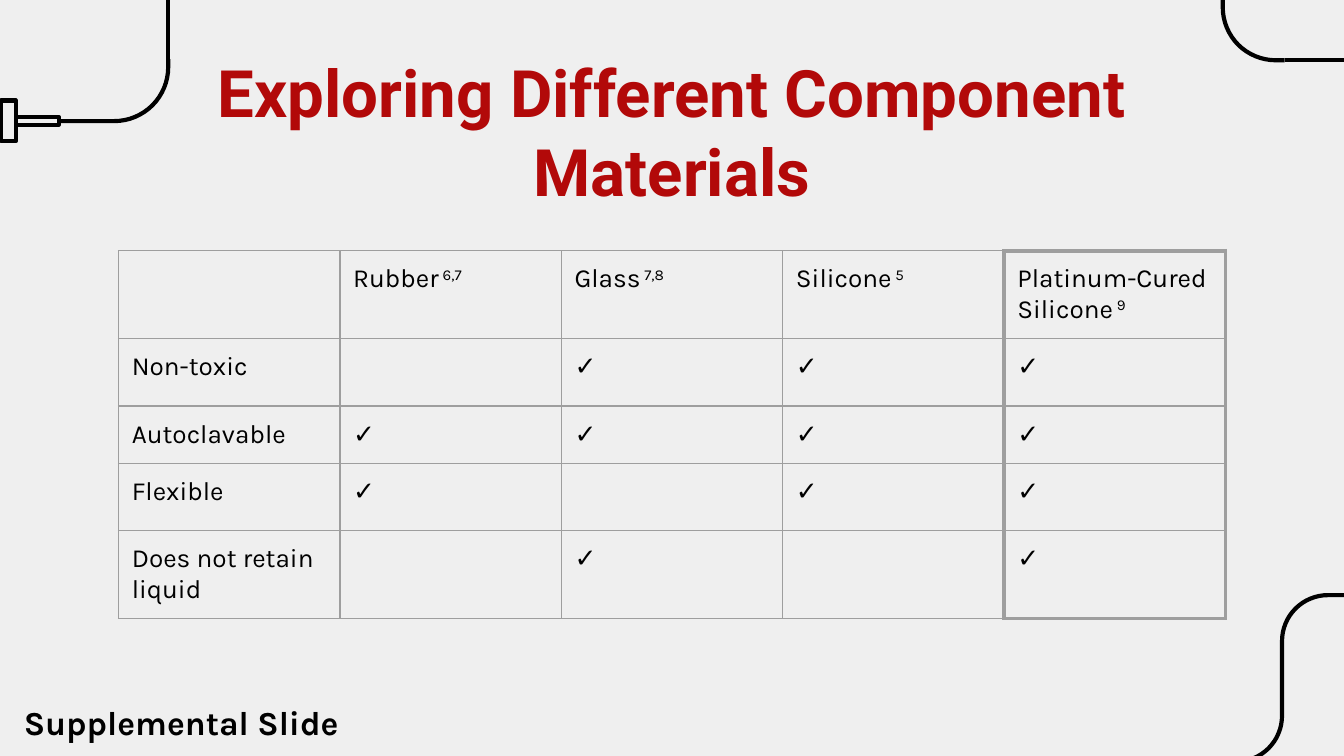
import math
import pptx
import pptx.util
import pptx.dml.color
import pptx.enum.shapes
import pptx.enum.text
import pptx.oxml
import pptx.oxml.ns
from pptx.util import Cm, Pt

HUES = {"back": "EFEFEF", "ink": "000000", "title": "B20909", "grid": "9E9E9E"}
THIN, BOLD = 0.75, 2.25
TICK = "✓"
HEAD = [("", ""), ("Rubber", " 6,7"), ("Glass", " 7,8"), ("Silicone", " 5"),
        ("Platinum-Cured Silicone", " 9")]
TRAITS = [("Non-toxic", (2, 3, 4)), ("Autoclavable", (1, 2, 3, 4)),
          ("Flexible", (1, 3, 4)), ("Does not retain liquid", (2, 4))]
ROWS = [1.66, 1.23, 1.08, 1.21, 1.66]


def hue(name):
    return pptx.dml.color.RGBColor.from_string(HUES[name])


def style(font, face, size, color, bold=False):
    font.name, font.size, font.bold = face, Pt(size), bold
    font.color.rgb = hue(color)


def pad(frame):
    frame.word_wrap = True
    frame.margin_left = frame.margin_right = Cm(0.25)
    frame.margin_top = frame.margin_bottom = Cm(0.25)


def ink(shape):
    shape.line.color.rgb = hue("ink")
    shape.line.width = Pt(BOLD)


def clear(shape):
    ink(shape)
    shape.fill.background()
    shape.shadow.inherit = False


def bend(slide, left, top, points, radius):
    """Draw an open path with a quarter turn at each inner point."""
    path = [points[0]]
    for prev, turn, after in zip(points, points[1:], points[2:]):
        ins, outs = [[(q - p) / math.dist(turn, end) * radius
                      for p, q in zip(turn, end)] for end in (prev, after)]
        for step in range(17):
            angle = math.pi / 2 * step / 16
            a, b = 1 - math.sin(angle), 1 - math.cos(angle)
            path.append((turn[0] + a * ins[0] + b * outs[0],
                         turn[1] + a * ins[1] + b * outs[1]))
    path.append(points[-1])
    spots = [(Cm(left + x), Cm(top + y)) for x, y in path]
    form = slide.shapes.build_freeform(*spots[0])
    form.add_line_segments(spots[1:], close=False)
    clear(form.convert_to_shape())


def line(slide, x1, y1, x2, y2):
    link = slide.shapes.add_connector(
        pptx.enum.shapes.MSO_CONNECTOR.STRAIGHT, Cm(x1), Cm(y1), Cm(x2), Cm(y2))
    ink(link)
    pptx.oxml.ns.qn("a:effectLst")
    link._element.spPr.append(pptx.oxml.parse_xml(
        f'<a:effectLst {pptx.oxml.ns.nsdecls("a")}/>'))


def hose(slide, left, top):
    """Draw the hose with its nozzle; the box ends at the hose's outer edge."""
    for x, y, wide, high in [(0.02, 1.9, 0.28, 0.77), (0.3, 2.21, 0.81, 0.15)]:
        clear(slide.shapes.add_shape(
            pptx.enum.shapes.MSO_SHAPE.RECTANGLE,
            Cm(left + x), Cm(top + y), Cm(wide), Cm(high)))
    bend(slide, left, top, [(1.12, 2.29), (3.18, 2.29), (3.18, 1.12)], 1.02)
    line(slide, left + 3.18, top + 1.12, left + 3.18, top)


def curve(slide, left, top):
    bend(slide, left, top, [(0, 0), (0, 1.14), (1.17, 1.14)], 1)
    line(slide, left + 1.17, top + 1.14, left + 2.29, top + 1.14)


def wave(slide, left, top):
    bend(slide, left, top, [(0, 3.15), (0.89, 3.15), (0.89, 0), (2.06, 0)], 0.87)


def title(slide, left, top, wide, high):
    box = slide.shapes.title
    box.left, box.top, box.width, box.height = map(Cm, (left, top, wide, high))
    frame = box.text_frame
    pad(frame)
    frame.auto_size = pptx.enum.text.MSO_AUTO_SIZE.NONE
    frame.vertical_anchor = pptx.enum.text.MSO_ANCHOR.TOP
    frame.text = "Exploring Different Component Materials"
    para = frame.paragraphs[0]
    para.alignment = pptx.enum.text.PP_ALIGN.CENTER
    style(para.font, "Roboto", 35, "title", True)


def edge(cell, widths):
    """Set the left, right, top and bottom borders, in points."""
    props = cell._tc.get_or_add_tcPr()
    for spot, (side, width) in enumerate(zip("LRTB", widths)):
        props.insert(spot, pptx.oxml.parse_xml(
            f'<a:ln{side} {pptx.oxml.ns.nsdecls("a")} w="{Pt(width)}"><a:solidFill>'
            f'<a:srgbClr val="{HUES["grid"]}"/></a:solidFill></a:ln{side}>'))


def write(cell, text, note):
    pad(cell)
    para = cell.text_frame.paragraphs[0]
    if text:
        para.add_run().text = text
        style(para.font, "Karla", 14, "ink")
    if note:
        run = para.add_run()
        run.text = note
        run._r.get_or_add_rPr().set("baseline", "30000")


def grid(slide, left, top, wide):
    rows = [HEAD] + [[(name, "")] + [(TICK if col in ticks else "", "")
                                     for col in range(1, len(HEAD))]
                     for name, ticks in TRAITS]
    last, end = len(HEAD) - 1, len(rows) - 1
    table = slide.shapes.add_table(len(rows), len(HEAD), Cm(left), Cm(top),
                                   Cm(wide), Cm(sum(ROWS))).table
    table.first_row = table.horz_banding = False
    for col in table.columns:
        col.width = Cm(wide / len(HEAD))
    for r, row in enumerate(rows):
        table.rows[r].height = Cm(ROWS[r])
        for c, (text, note) in enumerate(row):
            cell = table.cell(r, c)
            write(cell, text, note)
            cell.fill.background()
            rim = c == last
            heavy = (rim, c >= last - 1, rim and r == 0, rim and r == end)
            edge(cell, [BOLD if flag else THIN for flag in heavy])


def label(slide, left, top, wide, high):
    frame = slide.shapes.add_textbox(*map(Cm, (left, top, wide, high))).text_frame
    pad(frame)
    frame.text = "Supplemental Slide"
    para = frame.paragraphs[0]
    para.alignment = pptx.enum.text.PP_ALIGN.RIGHT
    style(para.font, "Karla", 18, "ink", True)


def main():
    deck = pptx.Presentation()
    deck.slide_width, deck.slide_height = Cm(25.4), Cm(14.29)
    slide = deck.slides.add_slide(deck.slide_layouts[5])
    fill = slide.background.fill
    fill.solid()
    fill.fore_color.rgb = hue("back")
    hose(slide, 0, 0)
    curve(slide, 23.11, 0)
    wave(slide, 23.34, 11.25)
    title(slide, 1.98, 0.74, 21.44, 2.29)
    grid(slide, 2.24, 4.74, 20.92)
    label(slide, 0, 13.01, 6.65, 1.27)
    deck.save("out.pptx")


if __name__ == "__main__":
    main()
